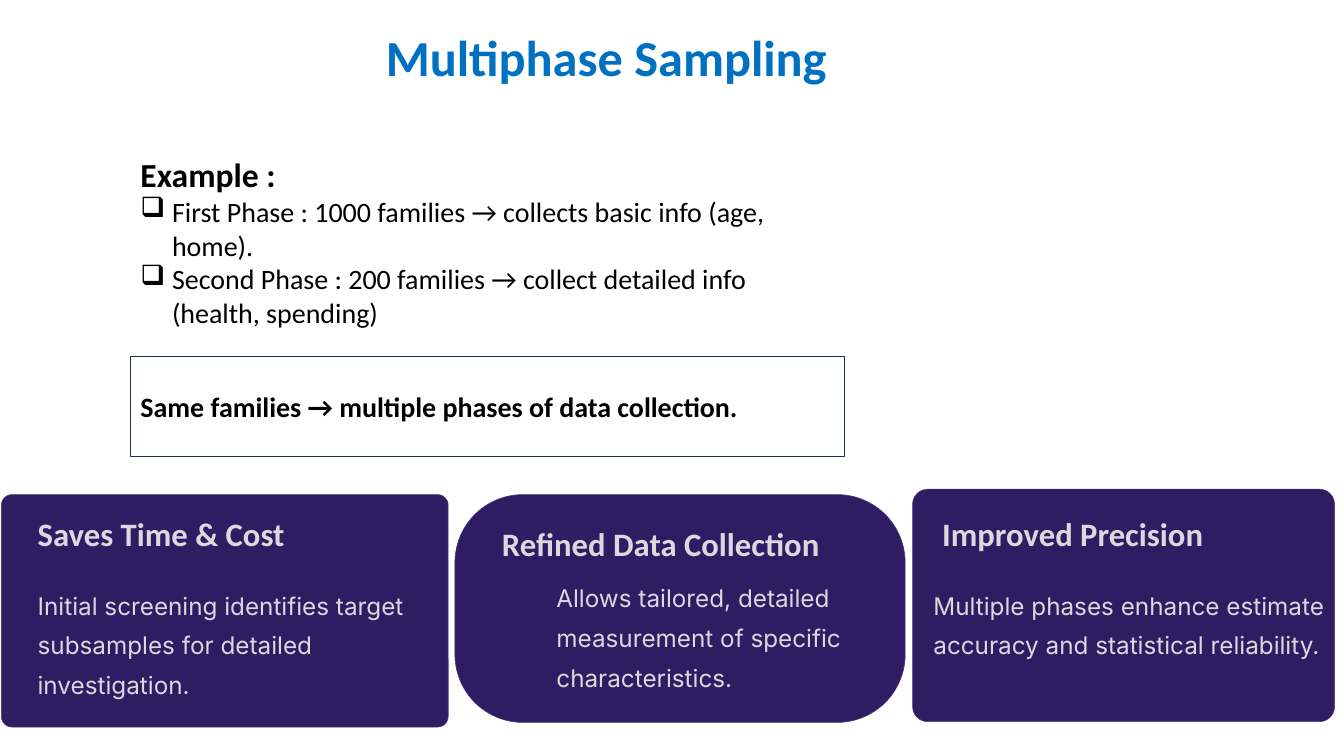
from lxml import etree
from pptx import Presentation
from pptx import util as u
from pptx.dml.color import RGBColor
from pptx.enum import shapes, text
from pptx.oxml.ns import qn


def rgb(value):
    return RGBColor.from_string(value)


class Deck:
    INK, TITLE, PALE = "000000", "0070C0", "E0D6DE"
    CARD, CARD_EDGE, BOX_EDGE, PAPER = "2F1D63", "48367C", "1E3256", "FFFFFF"
    HEAD_FONT, BODY_FONT = "Calibri", "Inter"

    def __init__(self):
        self.prs = Presentation()
        self.prs.slide_width = u.Inches(20)
        self.prs.slide_height = u.Inches(11.25)
        self.slide = self.prs.slides.add_slide(self.prs.slide_layouts[6])

    def shape(self, kind, place, fill, edge=None, weight=1):
        shape = self.slide.shapes.add_shape(kind, *map(u.Inches, place))
        shape.shadow.inherit = False
        shape.fill.solid()
        shape.fill.fore_color.rgb = rgb(fill)
        if edge:
            shape.line.color.rgb = rgb(edge)
            shape.line.width = u.Pt(weight)
        else:
            shape.line.fill.background()
        return shape

    def style(self, paragraph, size, color, font, bold=False):
        for run in paragraph.runs:
            run.font.size = u.Pt(size)
            run.font.name = font
            run.font.bold = bold
            run.font.color.rgb = rgb(color)

    def bullet(self, paragraph):
        props = paragraph._p.get_or_add_pPr()
        props.set("marL", str(u.Inches(0.47)))
        props.set("indent", str(u.Inches(-0.47)))
        etree.SubElement(props, qn("a:buChar")).set("char", "❑")

    def panel(self, place, lines, color=INK, align=text.PP_ALIGN.LEFT, edge=None):
        panel = self.shape(shapes.MSO_SHAPE.RECTANGLE, place, self.PAPER, edge)
        frame = panel.text_frame
        frame.word_wrap = True
        frame.vertical_anchor = text.MSO_ANCHOR.MIDDLE
        frame.margin_left = frame.margin_right = u.Inches(0.15)
        frame.margin_top = frame.margin_bottom = u.Inches(0.07)
        frame.text = "\n".join(words for words, *_ in lines)
        for paragraph, (_, size, bold, bulleted) in zip(frame.paragraphs, lines):
            paragraph.alignment = align
            if bulleted:
                self.bullet(paragraph)
            self.style(paragraph, size, color, self.HEAD_FONT, bold)

    def card(self, place, rounding):
        card = self.shape(shapes.MSO_SHAPE.ROUNDED_RECTANGLE, place,
                          self.CARD, self.CARD_EDGE, 0.6)
        card.adjustments[0] = rounding

    def label(self, place, words, size, font, spacing, bold=False, wrap=True):
        frame = self.slide.shapes.add_textbox(*map(u.Inches, place)).text_frame
        frame.margin_left = frame.margin_right = 0
        frame.margin_top = frame.margin_bottom = 0
        frame.word_wrap = wrap
        frame.text = words
        paragraph = frame.paragraphs[0]
        paragraph.line_spacing = u.Pt(spacing)
        self.style(paragraph, size, self.PALE, font, bold)

    def benefit(self, card, rounding, heading_at, heading, detail_at, detail):
        self.card(card, rounding)
        self.label(heading_at, heading, 35, self.HEAD_FONT, 43.5, bold=True, wrap=False)
        self.label(detail_at, detail, 26, self.BODY_FONT, 42.8)


def main():
    deck = Deck()
    deck.panel((4.16, 0.14, 9.73, 1.4), [("Multiphase Sampling", 54, True, False)],
               deck.TITLE, text.PP_ALIGN.CENTER)
    deck.panel((1.94, 2.38, 9.94, 2.43), [
        ("Example :", 36, True, False),
        ("First Phase : 1000 families → collects basic info (age, home).", 30, False, True),
        ("Second Phase : 200 families → collect detailed info (health, spending)",
         30, False, True),
    ])
    deck.panel((1.94, 5.3, 10.63, 1.5),
               [("Same families → multiple phases of data collection.", 30, True, False)],
               edge=deck.BOX_EDGE)

    benefits = [
        ((0.02, 7.36, 6.65, 3.46), 0.046,
         (0.56, 7.62, 4.88, 0.61), "Saves Time & Cost",
         (0.56, 8.63, 6.11, 1.79),
         "Initial screening identifies target subsamples for detailed investigation."),
        ((6.77, 7.36, 6.7, 3.39), 0.298,
         (7.47, 7.78, 5.32, 0.61), "Refined Data Collection",
         (8.28, 8.52, 6.11, 1.79),
         "Allows tailored, detailed measurement of specific characteristics."),
        ((13.58, 7.28, 6.28, 3.46), 0.065,
         (14.02, 7.63, 4.88, 0.61), "Improved Precision",
         (13.89, 8.63, 6.11, 1.19),
         "Multiple phases enhance estimate accuracy and statistical reliability."),
    ]
    for benefit in benefits:
        deck.benefit(*benefit)
    deck.prs.save("out.pptx")


if __name__ == "__main__":
    main()
